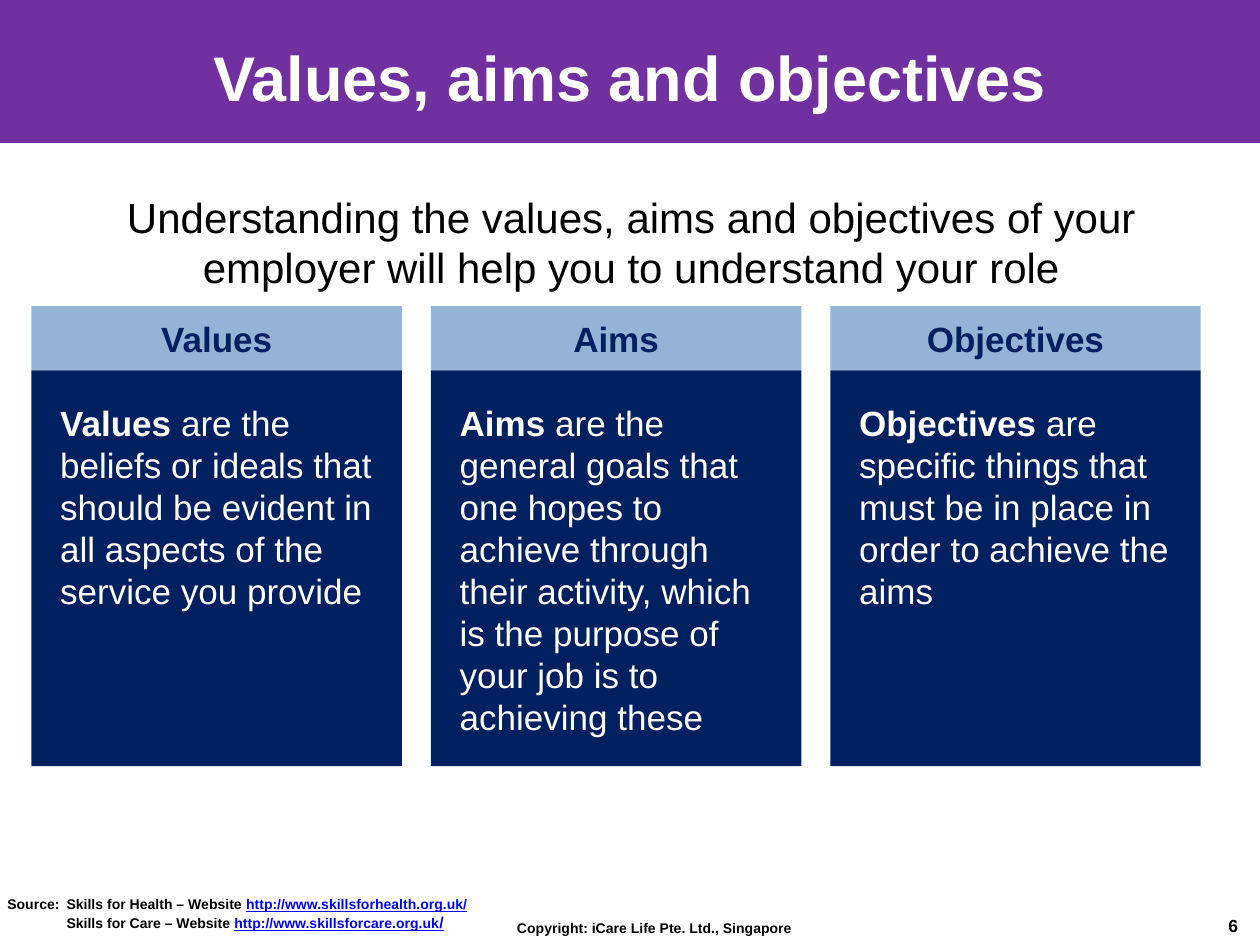
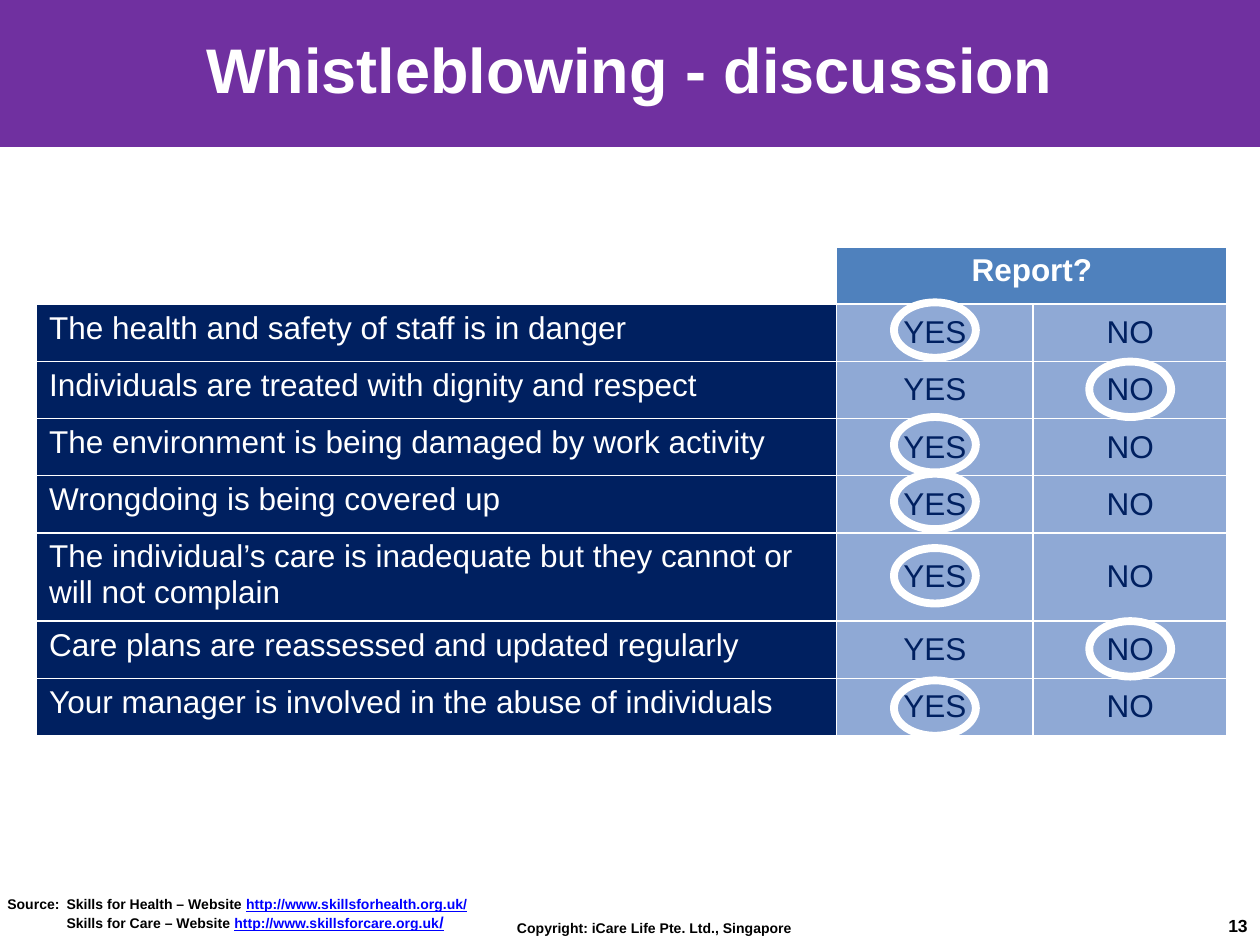
from pptx import Presentation
from pptx.dml.color import RGBColor
from pptx.enum.shapes import MSO_SHAPE
from pptx.enum.text import MSO_ANCHOR, PP_ALIGN
from pptx.oxml.ns import qn
from pptx.util import Inches, Pt
from lxml import etree

RECT, OVAL = MSO_SHAPE.RECTANGLE, MSO_SHAPE.OVAL
LEFT, CENTER = PP_ALIGN.LEFT, PP_ALIGN.CENTER
TOP, MIDDLE = MSO_ANCHOR.TOP, MSO_ANCHOR.MIDDLE

PURPLE = RGBColor(0x70, 0x30, 0xA0)
NAVY = RGBColor(0x00, 0x20, 0x60)
PALE_BLUE = RGBColor(0x95, 0xB3, 0xD7)
HEADER_BLUE = RGBColor(0x4F, 0x81, 0xBD)
ANSWER_BLUE = RGBColor(0x21, 0x54, 0xAC)
LINK_BLUE = RGBColor(0x00, 0x00, 0xFF)
WHITE = RGBColor(0xFF, 0xFF, 0xFF)
BLACK = RGBColor(0x00, 0x00, 0x00)
FONT = "Arial"


def write(p, text, size=18, color=BLACK, bold=False, underline=False, align=LEFT):
    p.alignment = align
    r = p.add_run()
    r.text = text
    f = r.font
    f.name, f.size, f.bold, f.underline = FONT, Pt(size), bold, underline
    f.color.rgb = color


def add_box(s, x, y, w, h, shape=None, fill=None, line=None, weight=1, wrap=True):
    at = [Inches(v) for v in (x, y, w, h)]
    if shape is None:
        sp = s.shapes.add_textbox(*at)
    else:
        sp = s.shapes.add_shape(shape, *at)
        sp.shadow.inherit = False
        if fill is None:
            sp.fill.background()
        else:
            sp.fill.solid()
            sp.fill.fore_color.rgb = fill
        if line is None:
            sp.line.fill.background()
        else:
            sp.line.color.rgb = line
            sp.line.width = Pt(weight)
        sp.text_frame.vertical_anchor = MIDDLE
    sp.text_frame.word_wrap = wrap
    return sp


prs = Presentation()
W, H = 10, 7.5
prs.slide_width, prs.slide_height = Inches(W), Inches(H)

BAND_H = 1.15
TITLE_H = 1.01
SOURCE_INDENT = Inches(0.47)
headings = [
    ("Values, aims and objectives", -0.03, 0.1, "6"),
    ("Whistleblowing - discussion", 0, 0.04, "13"),
]
slides = []
for heading, band_y, title_y, number in headings:
    s = prs.slides.add_slide(prs.slide_layouts[5])
    slides.append(s)
    add_box(s, 0, band_y, W, BAND_H, RECT, PURPLE, PURPLE, 2)

    title = s.shapes.title
    s.shapes._spTree.append(title._element)
    title.left, title.top = 0, Inches(title_y)
    title.width, title.height = Inches(W), Inches(TITLE_H)
    title.text_frame.vertical_anchor = MIDDLE
    write(title.text_frame.paragraphs[0], heading, size=36, color=WHITE, bold=True, align=CENTER)

    tf = add_box(s, -0.04, H - 0.44, 4.3, 0.39).text_frame
    p = tf.paragraphs[0]
    tabs = etree.SubElement(p._p.get_or_add_pPr(), qn("a:tabLst"))
    etree.SubElement(tabs, qn("a:tab"), pos=str(SOURCE_INDENT), algn="l")
    write(p, "Source:\tSkills for Health – Website ", size=8, bold=True)
    write(p, "http://www.skillsforhealth.org.uk/", size=8, color=LINK_BLUE, bold=True, underline=True)
    p = tf.add_paragraph()
    p._p.get_or_add_pPr().set("marL", str(SOURCE_INDENT))
    write(p, "Skills for Care – Website ", size=8, bold=True)
    write(p, "http://www.skillsforcare.org.uk", size=8, color=LINK_BLUE, bold=True, underline=True)
    write(p, "/", size=9, color=LINK_BLUE, bold=True, underline=True)

    tf = add_box(s, 3.7, H - 0.25, 2.99, 0.24).text_frame
    write(tf.paragraphs[0], "Copyright: iCare Life Pte. Ltd., Singapore", size=8, bold=True, align=CENTER)
    tf = add_box(s, 9.65, H - 0.29, 0.2 + 0.09 * len(number), 0.27, wrap=False).text_frame
    write(tf.paragraphs[0], number, size=10, bold=True)

values_slide, report_slide = slides

tf = add_box(values_slide, 0.28, 1.47, 9.46, 0.89).text_frame
write(tf.paragraphs[0],
      "Understanding the values, aims and objectives of your employer will help you to understand your role",
      size=24, align=CENTER)

COL_X, COL_STEP, COL_W = 0.25, 3.17, 2.94
HEAD_Y, HEAD_H, PANEL_H = 2.43, 0.51, 3.14
definitions = [
    ("Values", ["are the beliefs or ideals that should be evident in all aspects of the service you provide"]),
    ("Aims", ["are the", "general goals that one hopes to achieve through their activity, "
              "which is the purpose of your job is to achieving these"]),
    ("Objectives", ["are specific things that must be in place in order to achieve the aims"]),
]
for i, (term, lines) in enumerate(definitions):
    x = COL_X + i * COL_STEP
    head = add_box(values_slide, x, HEAD_Y, COL_W, HEAD_H, RECT, PALE_BLUE)
    write(head.text_frame.paragraphs[0], term, size=20, color=NAVY, bold=True, align=CENTER)
    add_box(values_slide, x, HEAD_Y + HEAD_H, COL_W, PANEL_H, RECT, NAVY)
    tf = add_box(values_slide, x + 0.13, HEAD_Y + 0.71, 2.7, 2.79).text_frame
    p = tf.paragraphs[0]
    write(p, term + " ", size=20, color=WHITE, bold=True)
    write(p, lines[0], size=20, color=WHITE)
    for line in lines[1:]:
        write(tf.add_paragraph(), line, size=20, color=WHITE)

TABLE_X, TABLE_Y = 0.29, 1.96
COL_WIDTHS = [6.35, 1.56, 1.54]
ROW_H, TALL_ROW_H = 3.18 / 7, 0.66
RING_W, RING_H = 0.65, 0.44
answers = ["YES", "NO"]
questions = [
    ("The health and safety of staff is in danger", "YES", 2.4),
    ("Individuals are treated with dignity and respect", "NO", 2.87),
    ("The environment is being damaged by work activity", "YES", 3.31),
    ("Wrongdoing is being covered up", "YES", 3.76),
    ("The individual’s care is inadequate but they cannot or will not complain", "YES", 4.35),
    ("Care plans are reassessed and updated regularly", "NO", 4.93),
    ("Your manager is involved in the abuse of individuals", "YES", 5.4),
]
table = report_slide.shapes.add_table(
    len(questions) + 1, len(COL_WIDTHS), Inches(TABLE_X), Inches(TABLE_Y),
    Inches(sum(COL_WIDTHS)), Inches(7 * ROW_H + TALL_ROW_H)).table
table.first_row = table.horz_banding = False
for column, width in zip(table.columns, COL_WIDTHS):
    column.width = Inches(width)
for i, row in enumerate(table.rows):
    row.height = Inches(TALL_ROW_H if i == 5 else ROW_H)

table.cell(0, 0).fill.background()
report = table.cell(0, 1)
report.merge(table.cell(0, 2))
report.fill.solid()
report.fill.fore_color.rgb = HEADER_BLUE
write(report.text_frame.paragraphs[0], "Report?", color=WHITE, bold=True, align=CENTER)

for i, (question, answer, ring_y) in enumerate(questions, 1):
    for j, text in enumerate([question] + answers):
        cell = table.cell(i, j)
        cell.fill.solid()
        cell.fill.fore_color.rgb = ANSWER_BLUE if j else NAVY
        cell.vertical_anchor = MIDDLE if j else TOP
        write(cell.text_frame.paragraphs[0], text, color=NAVY if j else WHITE, align=CENTER if j else LEFT)
        if j:
            color = cell._tc.tcPr.find(".//" + qn("a:srgbClr"))
            etree.SubElement(color, qn("a:alpha"), val="50000")
    j = answers.index(answer) + 1
    ring_x = TABLE_X + sum(COL_WIDTHS[:j]) + (COL_WIDTHS[j] - RING_W) / 2
    add_box(report_slide, ring_x, ring_y, RING_W, RING_H, OVAL, line=WHITE, weight=4.5)

prs.save("out.pptx")
